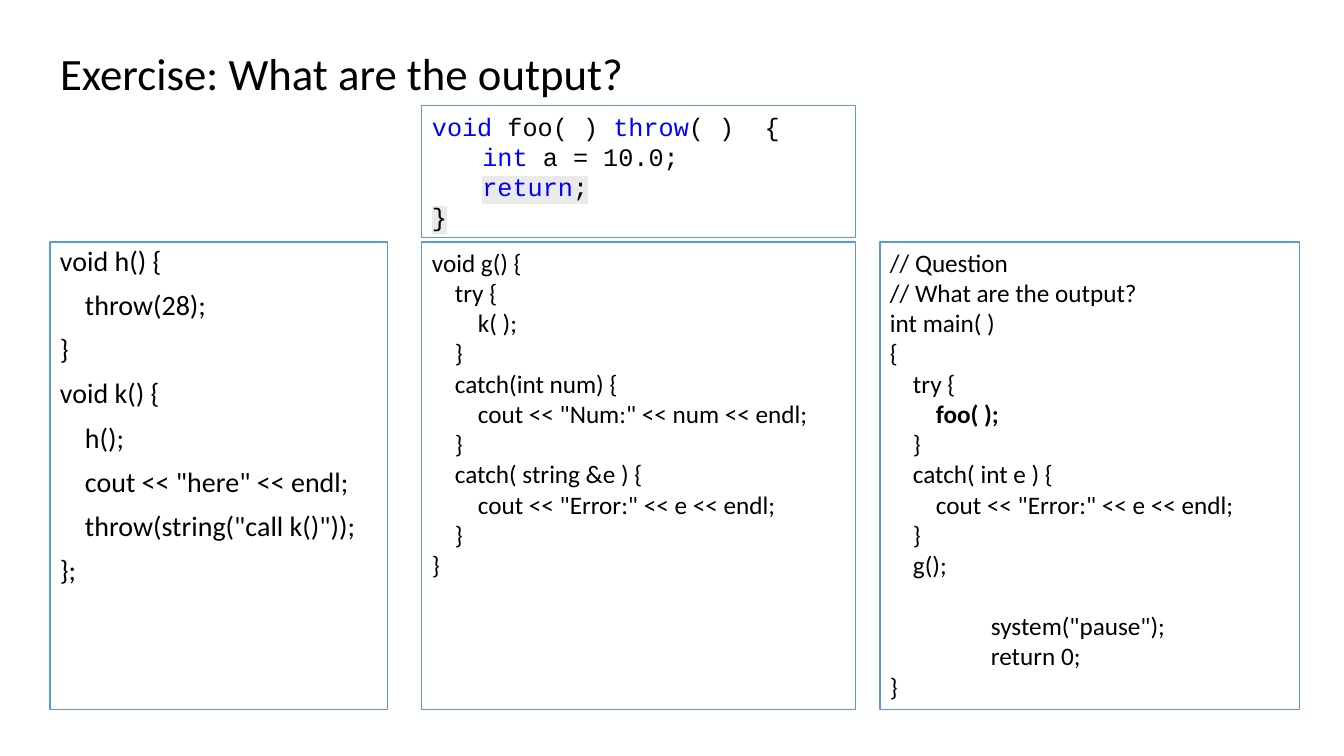
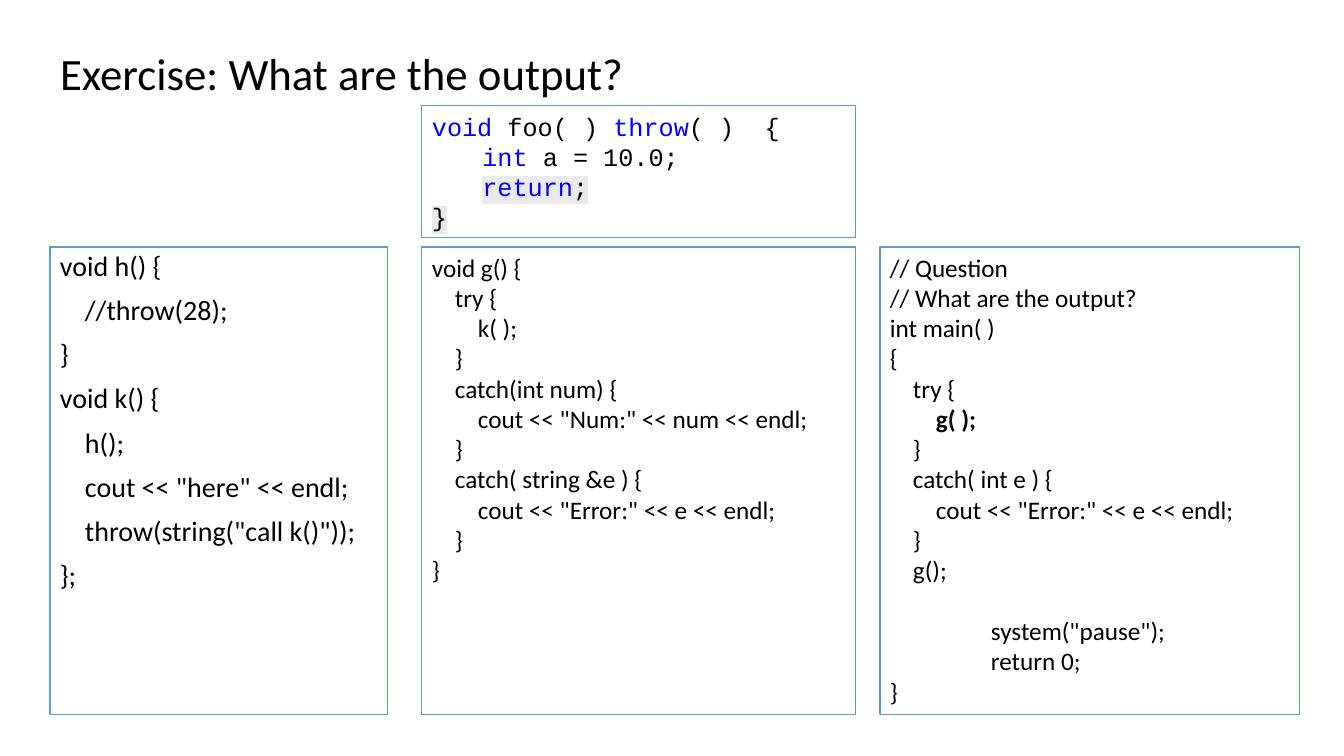
from dataclasses import dataclass

from lxml.etree import SubElement
from pptx import Presentation
from pptx.dml.color import RGBColor
from pptx.enum.shapes import MSO_SHAPE as Shape
from pptx.enum.text import MSO_ANCHOR as Anchor
from pptx.enum.text import MSO_AUTO_SIZE as AutoSize
from pptx.enum.text import PP_ALIGN as Align
from pptx.oxml.ns import qn
from pptx.slide import Slide
from pptx.text.text import TextFrame
from pptx.util import Emu, Pt

SCALE = 914400 / 100.8

BLACK = RGBColor(0x00, 0x00, 0x00)
KEYWORD_BLUE = RGBColor(0x00, 0x00, 0xFF)
BORDER_BLUE = RGBColor(0x5B, 0x9B, 0xD5)
HIGHLIGHT_GREY = RGBColor(0xEA, 0xEA, 0xEA)

TITLE = "Exercise: What are the output?"
TITLE_BOX = (50, 41, 590, 65)
STEP = 23
WIDE_STEP = 25
TAB_STEP = 101
CODE_TAB = 76
PANEL_HEIGHT = 468

FRAME_FORMAT = {
    "word_wrap": True,
    "auto_size": AutoSize.NONE,
    "vertical_anchor": Anchor.TOP,
}
SMALL_FONT = {"name": "Calibri", "size": Pt(18)}
LARGE_FONT = {"name": "Calibri", "size": Pt(20)}
TITLE_FONT = {"name": "Calibri", "size": Pt(32)}
MONO_FONT = {"name": "Courier New", "size": Pt(18)}
TIGHT = {"alignment": Align.LEFT}
SPACED = {"alignment": Align.LEFT, "line_spacing": 0.9, "space_before": Pt(10)}


@dataclass(frozen=True)
class Token:
    """A stretch of code in one style."""

    text: str
    color: RGBColor = BLACK
    bold: bool = False
    highlighted: bool = False


@dataclass(frozen=True)
class Line:
    """A line of code with its indent in pixels and the gap above in points."""

    tokens: tuple[Token, ...]
    indent: int = 0
    gap: int = 0


@dataclass(frozen=True)
class Panel:
    """A bordered box of code."""

    box: tuple[int, int, int, int]
    lines: tuple[Line, ...]
    font: dict
    layout: dict
    tab: int = 0


@dataclass(frozen=True)
class Exercise:
    """What differs between the slides."""

    top: int
    h_body: str
    tried_call: str


def pixels(length: float) -> Emu:
    """Turn pixels into EMU."""
    return Emu(round(length * SCALE))


def apply(target: object, values: dict) -> None:
    """Set each attribute named in values."""
    for name, value in values.items():
        setattr(target, name, value)


def line(text: str, indent: int = 0, bold: bool = False, gap: int = 0) -> Line:
    """Make a line in a single style."""
    return Line((Token(text, bold=bold),), indent, gap)


def place(shape: object, box: tuple[int, int, int, int]) -> None:
    """Move and size a shape."""
    names = ("left", "top", "width", "height")
    apply(shape, dict(zip(names, map(pixels, box))))


def add_token(paragraph: object, token: Token, font: dict) -> None:
    """Add one styled run."""
    run = paragraph.add_run()
    run.text = token.text
    apply(run.font, font | {"bold": token.bold})
    run.font.color.rgb = token.color
    if token.highlighted:
        properties = run._r.get_or_add_rPr()
        highlight = SubElement(properties, qn("a:highlight"))
        SubElement(highlight, qn("a:srgbClr"), val=str(HIGHLIGHT_GREY))
        properties.find(qn("a:solidFill")).addnext(highlight)


def write_lines(frame: TextFrame, panel: Panel) -> None:
    """Write the code of a panel, one paragraph a line."""
    for index, code in enumerate(panel.lines):
        paragraph = frame.add_paragraph() if index else frame.paragraphs[0]
        apply(paragraph, panel.layout)
        if code.gap:
            paragraph.space_before = Pt(code.gap)
        properties = paragraph._p.get_or_add_pPr()
        properties.set("marL", str(pixels(code.indent)))
        properties.set("indent", "0")
        if panel.tab:
            tabs = SubElement(properties, qn("a:tabLst"))
            SubElement(tabs, qn("a:tab"), pos=str(pixels(panel.tab)), algn="l")
        for token in code.tokens:
            add_token(paragraph, token, panel.font)


def add_panel(slide: Slide, panel: Panel) -> None:
    """Draw a bordered panel with its code."""
    shape = slide.shapes.add_shape(Shape.RECTANGLE, *map(pixels, panel.box))
    shape.shadow.inherit = False
    shape.fill.background()
    shape.line.color.rgb = BORDER_BLUE
    shape.line.width = Pt(0.75)
    apply(shape.text_frame, FRAME_FORMAT)
    write_lines(shape.text_frame, panel)


def set_title(slide: Slide) -> None:
    """Place and format the title."""
    title = slide.shapes.title
    place(title, TITLE_BOX)
    title.text_frame.text = TITLE
    apply(title.text_frame, FRAME_FORMAT | {"word_wrap": False})
    paragraph = title.text_frame.paragraphs[0]
    paragraph.alignment = Align.LEFT
    apply(paragraph.font, TITLE_FONT)
    paragraph.font.color.rgb = BLACK


FOO_LINES = (
    Line((
        Token("void", KEYWORD_BLUE),
        Token(" foo( ) "),
        Token("throw", KEYWORD_BLUE),
        Token("( )  {"),
    )),
    Line((Token("\t"), Token("int", KEYWORD_BLUE), Token(" a = 10.0;"))),
    Line((
        Token("\treturn", KEYWORD_BLUE, highlighted=True),
        Token(";", highlighted=True),
    )),
    Line((Token("}", highlighted=True),)),
)

G_LINES = (
    line("void g() {"),
    line("try {", STEP),
    line("k( );", 2 * STEP),
    line("}", STEP),
    line("catch(int num) {", STEP),
    line('cout << "Num:" << num << endl;', 2 * STEP),
    line("}", STEP),
    line("catch( string &e ) {", STEP),
    line('cout << "Error:" << e << endl;', 2 * STEP),
    line("}", STEP),
    line("}"),
)


def thrower_lines(h_body: str) -> tuple[Line, ...]:
    """Give the code of h and k."""
    return (
        line("void h() {"),
        line(h_body, WIDE_STEP),
        line("}"),
        line("void k() {"),
        line("h();", WIDE_STEP),
        line('cout << "here" << endl;', WIDE_STEP),
        line('throw(string("call k()"));', WIDE_STEP),
        line("};"),
    )


def main_lines(tried_call: str) -> tuple[Line, ...]:
    """Give the code of main."""
    return (
        line("// Question"),
        line("// What are the output?"),
        line("int main( )"),
        line("{"),
        line("try {", STEP),
        line(tried_call, 2 * STEP, bold=True),
        line("}", STEP),
        line("catch( int e ) {", STEP),
        line('cout << "Error:" << e << endl;', 2 * STEP),
        line("}", STEP),
        line("g();", STEP),
        line('system("pause");', TAB_STEP, gap=22),
        line("return 0;", TAB_STEP),
        line("}"),
    )


def exercise_panels(exercise: Exercise) -> tuple[Panel, ...]:
    """Give the four panels of an exercise."""
    top = exercise.top
    return (
        Panel((50, top, 338, PANEL_HEIGHT), thrower_lines(exercise.h_body),
              LARGE_FONT, SPACED),
        Panel((880, top, 420, PANEL_HEIGHT), main_lines(exercise.tried_call),
              SMALL_FONT, TIGHT),
        Panel((422, top, 434, PANEL_HEIGHT), G_LINES, SMALL_FONT, TIGHT),
        Panel((422, 106, 434, 132), FOO_LINES, MONO_FONT, TIGHT, CODE_TAB),
    )


EXERCISES = (
    Exercise(242, "throw(28);", "foo( );"),
    Exercise(247, "//throw(28);", "g( );"),
)


def build() -> None:
    """Build and save the presentation."""
    presentation = Presentation()
    presentation.slide_width = pixels(1344)
    presentation.slide_height = pixels(756)
    title_only = presentation.slide_layouts[5]
    for exercise in EXERCISES:
        slide = presentation.slides.add_slide(title_only)
        set_title(slide)
        for panel in exercise_panels(exercise):
            add_panel(slide, panel)
    presentation.save("out.pptx")


build()
